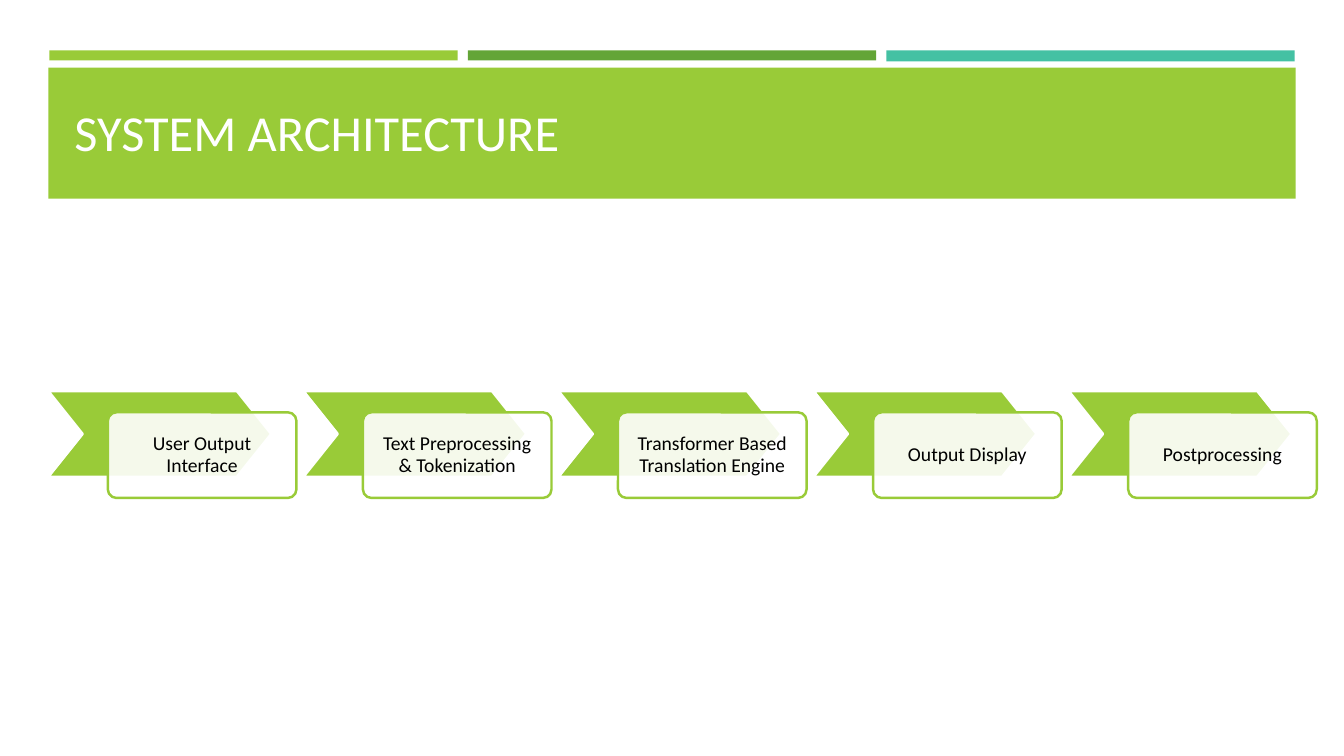
from dataclasses import dataclass

from lxml.etree import SubElement
from pptx import Presentation
from pptx.dml.color import RGBColor
from pptx.enum.shapes import MSO_SHAPE
from pptx.enum.text import MSO_ANCHOR, PP_ALIGN
from pptx.oxml.ns import qn
from pptx.shapes.autoshape import Shape
from pptx.slide import Slide
from pptx.util import Emu, Pt

EMU_PER_PX = 9144


@dataclass(frozen=True)
class Theme:
    lime: RGBColor = RGBColor(0x99, 0xCB, 0x38)
    green: RGBColor = RGBColor(0x63, 0xA5, 0x37)
    teal: RGBColor = RGBColor(0x44, 0xC1, 0xA3)
    white: RGBColor = RGBColor(0xFF, 0xFF, 0xFF)
    black: RGBColor = RGBColor(0x00, 0x00, 0x00)
    font: str = "Calibri"
    title_size: Pt = Pt(36)
    step_size: Pt = Pt(14)
    outline: Pt = Pt(1.75)
    card_opacity: int = 90


@dataclass(frozen=True)
class Box:
    left: int
    top: int
    width: int
    height: int

    def moved(self, offset: int) -> "Box":
        return Box(self.left + offset, self.top, self.width, self.height)

    def emu(self) -> tuple[Emu, ...]:
        return tuple(px(side) for side in (self.left, self.top, self.width, self.height))


@dataclass(frozen=True)
class Band:
    box: Box
    color: RGBColor


THEME = Theme()
BANDS = (
    Band(Box(49, 50, 405, 10), THEME.lime),
    Band(Box(464, 50, 405, 10), THEME.green),
    Band(Box(879, 50, 405, 11), THEME.teal),
    Band(Box(48, 67, 1237, 130), THEME.lime),
)
TITLE_BOX = Box(64, 51, 1206, 111)
CHEVRON_BOX = Box(48, 388, 221, 85)
CARD_BOX = Box(107, 409, 187, 85)
STEP_PITCH = 253
STEPS = (
    "User Output Interface",
    "Text Preprocessing & Tokenization",
    "Transformer Based Translation Engine",
    "Output Display",
    "Postprocessing",
)


def px(length: int) -> Emu:
    return Emu(length * EMU_PER_PX)


def add_filled(page: Slide, kind: MSO_SHAPE, box: Box, color: RGBColor) -> Shape:
    shape = page.shapes.add_shape(kind, *box.emu())
    shape.shadow.inherit = False
    shape.fill.solid()
    shape.fill.fore_color.rgb = color
    shape.line.fill.background()
    return shape


def set_outline(shape: Shape, color: RGBColor) -> None:
    shape.line.color.rgb = color
    shape.line.width = THEME.outline


def set_opacity(shape: Shape, percent: int) -> None:
    color = shape.fill._xPr.find(qn("a:solidFill"))[0]
    SubElement(color, qn("a:alpha")).set("val", str(percent * 1000))


def write(shape: Shape, text: str, size: Pt, color: RGBColor, align: PP_ALIGN) -> None:
    shape.text_frame.word_wrap = True
    para = shape.text_frame.paragraphs[0]
    para.alignment = align
    para.line_spacing = 0.9
    span = para.add_run()
    span.text = text
    span.font.name = THEME.font
    span.font.size = size
    span.font.color.rgb = color


def add_title(page: Slide, text: str) -> None:
    title = page.shapes.add_textbox(*TITLE_BOX.emu())
    title.text_frame.vertical_anchor = MSO_ANCHOR.BOTTOM
    title.text_frame.margin_bottom = px(1)
    write(title, text, THEME.title_size, THEME.white, PP_ALIGN.LEFT)


def add_step(page: Slide, text: str, offset: int) -> None:
    chevron = add_filled(page, MSO_SHAPE.CHEVRON, CHEVRON_BOX.moved(offset), THEME.lime)
    chevron.adjustments[0] = 0.4
    set_outline(chevron, THEME.white)

    card = add_filled(page, MSO_SHAPE.ROUNDED_RECTANGLE, CARD_BOX.moved(offset), THEME.white)
    card.adjustments[0] = 0.1
    set_opacity(card, THEME.card_opacity)
    set_outline(card, THEME.lime)
    frame = card.text_frame
    frame.vertical_anchor = MSO_ANCHOR.MIDDLE
    frame.margin_left = frame.margin_right = px(11)
    frame.margin_top = frame.margin_bottom = px(11)
    write(card, text, THEME.step_size, THEME.black, PP_ALIGN.CENTER)


def main() -> None:
    deck = Presentation()
    deck.slide_width, deck.slide_height = px(1333), px(750)
    page = deck.slides.add_slide(deck.slide_layouts[6])
    for band in BANDS:
        add_filled(page, MSO_SHAPE.RECTANGLE, band.box, band.color)
    add_title(page, "SYSTEM ARCHITECTURE")
    for index, step in enumerate(STEPS):
        add_step(page, step, index * STEP_PITCH)
    deck.save("out.pptx")


if __name__ == "__main__":
    main()
